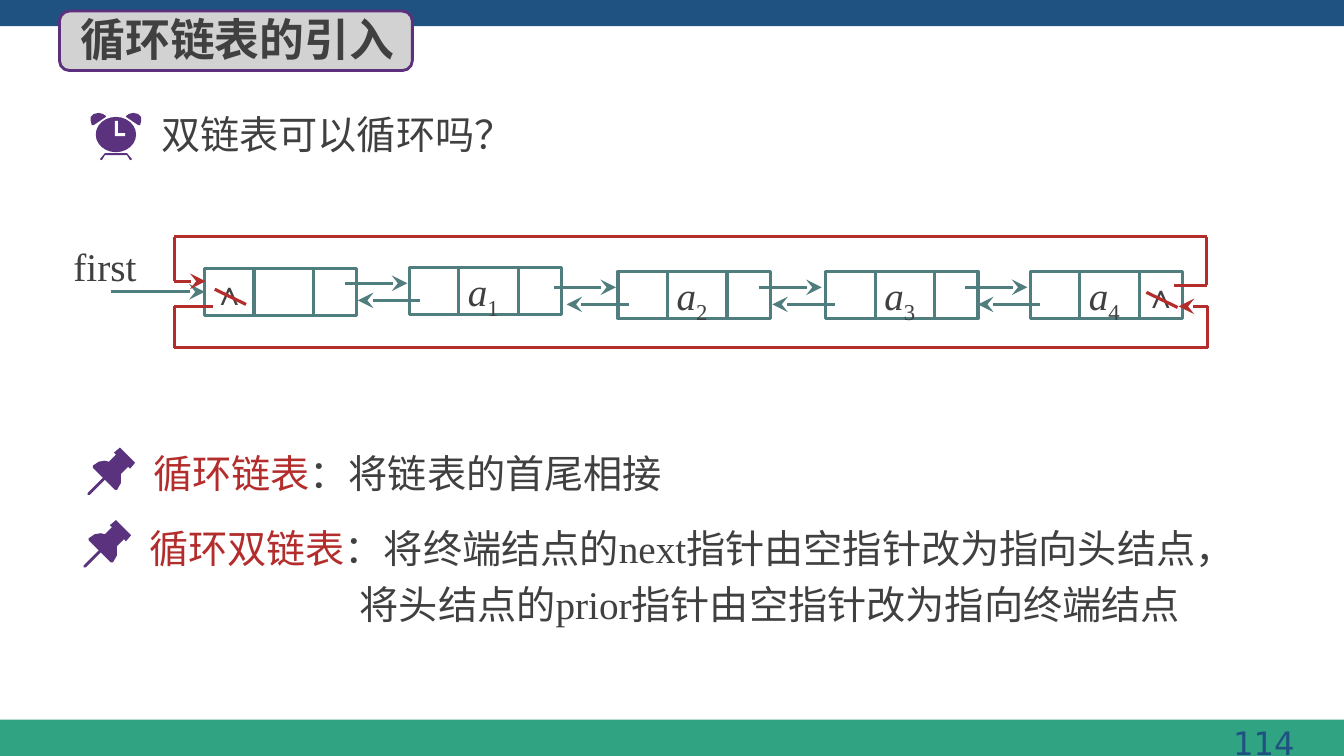
from pptx import Presentation
from pptx.dml.color import RGBColor
from pptx.enum.shapes import MSO_CONNECTOR, MSO_SHAPE
from pptx.enum.text import MSO_ANCHOR, PP_ALIGN
from pptx.oxml.ns import qn
from pptx.util import Inches, Pt
from lxml.etree import SubElement

WHITE = RGBColor(0xFF, 0xFF, 0xFF)
GREEN = RGBColor(0x30, 0xA3, 0x83)
BLUE = RGBColor(0x1F, 0x52, 0x81)
PURPLE = RGBColor(0x5C, 0x30, 0x7D)
ICON = RGBColor(0x5A, 0x32, 0x7D)
GREY = RGBColor(0xD2, 0xD2, 0xD2)
DARK = RGBColor(0x40, 0x40, 0x40)
RED = RGBColor(0xB4, 0x2D, 0x2D)
TEAL = RGBColor(0x50, 0x7D, 0x7D)
CJK = "Noto Sans CJK SC"
SERIF = "Times New Roman"
SANS = "DejaVu Sans"

NODE_W, NODE_H = 1.51, 0.47
NODES = [(2.03, 2.66, ""), (4.06, 2.65, "1"), (6.13, 2.69, "2"),
         (8.19, 2.69, "3"), (10.22, 2.69, "4")]
LINKS = [(3.42, 2.81), (5.49, 2.85), (7.53, 2.85), (9.57, 2.85)]
NEXT_LOOP = [(11.64, 2.83), (11.97, 2.83), (11.97, 2.35),
             (1.73, 2.35), (1.73, 2.79), (2.04, 2.79)]
PRIOR_LOOP = [(2.11, 3.04), (1.73, 3.04), (1.73, 3.45),
              (11.98, 3.45), (11.98, 3.04), (11.69, 3.04)]

CLOCK_EAR = [(0.98, 1.12), (0.93, 1.13), (0.9, 1.16), (0.9, 1.2), (0.91, 1.24),
             (0.93, 1.24), (1.05, 1.16), (1.05, 1.15), (1.02, 1.13)]
CLOCK_STAND = [(0.99, 1.58), (1.04, 1.52), (1.26, 1.52), (1.31, 1.58),
               (1.29, 1.59), (1.26, 1.54), (1.04, 1.54), (1.01, 1.59)]
CLOCK_HANDS = [(1.14, 1.2), (1.17, 1.2), (1.17, 1.32),
               (1.24, 1.32), (1.24, 1.35), (1.14, 1.35)]
PIN_HEAD = [(1.34, 4.59), (1.19, 4.44), (1.13, 4.49), (1.15, 4.51),
            (1.08, 4.58), (1.04, 4.57), (0.98, 4.58), (0.92, 4.62),
            (0.92, 4.64), (1.14, 4.86), (1.16, 4.86), (1.2, 4.79),
            (1.2, 4.7), (1.27, 4.63), (1.29, 4.65)]
PIN_NEEDLE = [(0.87, 4.89), (1.03, 4.73), (1.05, 4.73),
              (1.05, 4.75), (0.89, 4.91), (0.87, 4.91)]


def add_box(s, kind, x, y, w, h, fill=None, line=None, width=2.25):
    sp = s.shapes.add_shape(kind, Inches(x), Inches(y), Inches(w), Inches(h))
    sp.shadow.inherit = False
    if fill is None:
        sp.fill.background()
    else:
        sp.fill.solid()
        sp.fill.fore_color.rgb = fill
    if line is None:
        sp.line.fill.background()
    else:
        sp.line.color.rgb = line
        sp.line.width = Pt(width)
    return sp


def add_outline(s, points, color, dx=0, dy=0):
    pts = [(Inches(x + dx), Inches(y + dy)) for x, y in points]
    builder = s.shapes.build_freeform(*pts[0])
    builder.add_line_segments(pts[1:], close=True)
    sp = builder.convert_to_shape()
    sp.shadow.inherit = False
    sp.fill.solid()
    sp.fill.fore_color.rgb = color
    sp.line.fill.background()


def add_line(s, start, end, color, arrow=False):
    cx = s.shapes.add_connector(MSO_CONNECTOR.STRAIGHT, Inches(start[0]), Inches(start[1]),
                                Inches(end[0]), Inches(end[1]))
    cx.line.color.rgb = color
    cx.line.width = Pt(2.25)
    sp_pr = cx._element.spPr
    if arrow:
        SubElement(sp_pr.find(qn("a:ln")), qn("a:tailEnd"), type="stealth", w="lg", len="lg")
    SubElement(sp_pr, qn("a:effectLst"))
    return cx


def add_run(p, text, size, color, font):
    r = p.add_run()
    r.text = text
    r.font.size = Pt(size)
    r.font.color.rgb = color
    r.font.name = font
    SubElement(r._r.get_or_add_rPr(), qn("a:ea"), typeface=CJK)
    return r


def add_text(s, x, y, w, h, lines, size=28, font=CJK):
    tf = s.shapes.add_textbox(Inches(x), Inches(y), Inches(w), Inches(h)).text_frame
    tf.word_wrap = True
    tf.margin_top = Inches(0.04)
    for i, runs in enumerate(lines):
        p = tf.add_paragraph() if i else tf.paragraphs[0]
        p.line_spacing = Pt(round(size * 1.21))
        if i:
            p.space_before = Pt(6)
        for text, color in runs:
            add_run(p, text, size, color, font)
    return tf


def add_page_number(s):
    tf = s.shapes.add_textbox(Inches(10.03), Inches(7.11), Inches(2.94), Inches(0.52)).text_frame
    tf.word_wrap = True
    tf.margin_left = tf.margin_right = Inches(0.13)
    tf.margin_top = tf.margin_bottom = Inches(0.06)
    tf.vertical_anchor = MSO_ANCHOR.MIDDLE
    p = tf.paragraphs[0]
    p.alignment = PP_ALIGN.RIGHT
    add_run(p, "114", 23, BLUE, SANS)


def add_clock(s):
    add_outline(s, CLOCK_STAND, ICON)
    add_outline(s, CLOCK_EAR, ICON)
    add_outline(s, [(2.3 - x, y) for x, y in CLOCK_EAR], ICON)
    add_box(s, MSO_SHAPE.OVAL, 0.95, 1.16, 0.4, 0.35, ICON)
    add_outline(s, CLOCK_HANDS, WHITE)


def add_pin(s, dx=0, dy=0):
    for points in (PIN_HEAD, PIN_NEEDLE):
        add_outline(s, points, ICON, dx, dy)


def add_node(s, x, y, index):
    sp = add_box(s, MSO_SHAPE.RECTANGLE, x, y, NODE_W, NODE_H, line=TEAL)
    for dx in (0.49, 1.08):
        add_line(s, (x + dx, y), (x + dx, y + NODE_H), TEAL)
    if index:
        tf = sp.text_frame
        tf.vertical_anchor = MSO_ANCHOR.TOP
        tf.margin_left = Inches(0.58)
        tf.margin_top = tf.margin_right = tf.margin_bottom = 0
        p = tf.paragraphs[0]
        p.alignment = PP_ALIGN.LEFT
        add_run(p, "a", 28, DARK, SERIF).font.italic = True
        sub = add_run(p, index, 28, DARK, SERIF)
        sub._r.get_or_add_rPr().set("baseline", "-25000")
    return sp


def add_loop(s, points):
    for i, (start, end) in enumerate(zip(points, points[1:])):
        add_line(s, start, end, RED, arrow=i == len(points) - 2)


def add_list_diagram(s):
    nodes = [add_node(s, *node) for node in NODES]
    for x, y in LINKS:
        add_line(s, (x, y), (x + 0.62, y), TEAL, arrow=True)
        add_line(s, (x + 0.75, y + 0.17), (x + 0.13, y + 0.17), TEAL, arrow=True)
    head_y = NODES[0][1] + NODE_H / 2
    add_line(s, (1.1, head_y), (2.03, head_y), TEAL, arrow=True).end_connect(nodes[0], 1)
    add_text(s, 0.63, 2.36, 1.19, 0.57, [[("first", DARK)]], font=SERIF)
    for x, y in ((11.25, 2.68), (2.01, 2.65)):
        add_text(s, x, y, 0.49, 0.5, [[("∧", DARK)]], 24, SERIF)
    add_loop(s, NEXT_LOOP)
    add_loop(s, PRIOR_LOOP)
    for x, y in ((11.37, 2.9), (2.13, 2.87)):
        add_line(s, (x, y), (x + 0.31, y + 0.15), RED)


def main():
    prs = Presentation()
    prs.slide_width, prs.slide_height = Inches(13.33), Inches(7.5)
    s = prs.slides.add_slide(prs.slide_layouts[6])
    add_box(s, MSO_SHAPE.RECTANGLE, 0, 7.14, 13.33, 0.36, GREEN)
    add_box(s, MSO_SHAPE.RECTANGLE, 0, 0, 13.33, 0.26, BLUE)
    add_page_number(s)
    add_box(s, MSO_SHAPE.ROUNDED_RECTANGLE, 0.59, 0.11, 3.5, 0.59, GREY, PURPLE, 2)
    title = add_text(s, 0.7, 0.07, 3.39, 0.64, [[("循环链表的引入", DARK)]], 32)
    title.paragraphs[0].runs[0].font.bold = True
    add_text(s, 1.5, 1.05, 11.14, 0.57, [[("双链表可以循环吗？", DARK)]])
    add_clock(s)
    add_text(s, 1.42, 4.41, 11.23, 0.57, [[("循环链表", RED), ("：将链表的首尾相接", DARK)]])
    add_pin(s)
    tf = add_text(s, 1.38, 5.16, 11.28, 1.13, [
        [("循环双链表", RED), ("：将终端结点的next指针由空指针改为指向头结点，", DARK)],
        [("将头结点的prior指针由空指针改为指向终端结点", DARK)]], font=SERIF)
    tf.paragraphs[1]._p.get_or_add_pPr().set("marL", str(Inches(2.09)))
    add_pin(s, -0.04, 0.72)
    add_list_diagram(s)
    prs.save("out.pptx")


if __name__ == "__main__":
    main()
